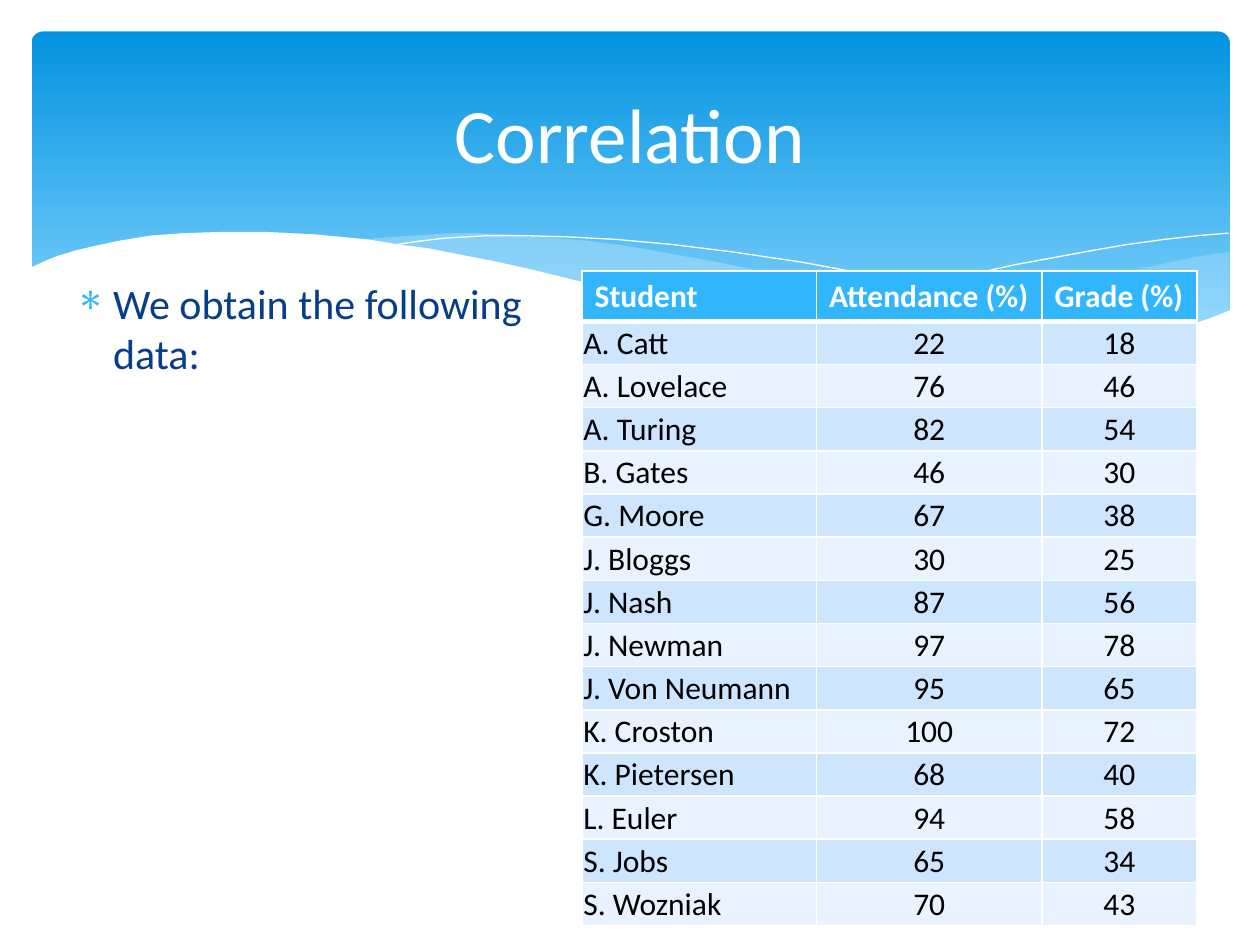
"""Builds the Correlation slide with its wave banner and table of student results."""
import pptx
import pptx.dml.color
import pptx.enum.dml
import pptx.enum.shapes
import pptx.enum.text
import pptx.oxml.ns
import pptx.util
import lxml.etree

PX = 9144
COLORS = {
    "white": "FFFFFF", "black": "000000", "navy": "073E87", "accent": "31B6FD",
    "sky_top": "0293E0", "sky_bottom": "83D3FE", "mist": "C6E7FC",
    "band_dark": "CEE5FE", "band_light": "E8F3FF",
}
ALIGN = pptx.enum.text.PP_ALIGN
ANCHOR = pptx.enum.text.MSO_ANCHOR

RIGHT_WAVE = [
    (975, 200), (948, 204), (921, 210), (891, 216), (861, 223), (805, 237), (753, 248),
    (706, 257), (661, 265), (691, 269), (719, 271), (745, 274), (769, 276), (792, 277),
    (814, 278), (835, 277), (854, 276), (872, 274), (889, 272), (905, 269), (921, 265),
    (935, 262), (949, 257), (963, 252), (976, 247), (976, 200),
]
MIDDLE_WAVE = [
    (893, 273), (866, 269), (837, 265), (807, 260), (775, 254), (741, 247), (706, 240),
    (668, 231), (629, 222), (598, 214), (569, 208), (541, 203), (514, 198), (489, 194),
    (465, 191), (442, 189), (420, 187), (399, 186), (380, 185), (361, 185), (344, 186),
    (328, 187), (313, 188), (299, 189), (286, 191), (323, 196), (362, 203), (404, 211),
    (449, 222), (491, 232), (530, 240), (566, 248), (601, 255), (634, 261), (665, 266),
    (695, 270), (722, 274), (748, 276), (773, 277), (796, 278), (828, 278), (857, 277),
    (876, 275),
]
LEFT_CREST = [
    (309, 195), (328, 192), (353, 189), (387, 187), (416, 187), (450, 188), (489, 190),
    (533, 194), (582, 200), (636, 208), (695, 219), (760, 233), (831, 251), (907, 272),
]
RIGHT_CREST = [
    (613, 257), (653, 246), (695, 235), (748, 223), (806, 210), (866, 199), (895, 194),
    (924, 190), (951, 187), (975, 185),
]
WHITE_WAVE = [
    (977, 246), (959, 253), (940, 259), (920, 265), (899, 269), (875, 273), (850, 275),
    (823, 277), (809, 277), (778, 276), (744, 274), (708, 270), (668, 265), (626, 258),
    (579, 250), (529, 239), (475, 227), (447, 220), (418, 213), (391, 207), (365, 202),
    (340, 197), (316, 194), (292, 190), (271, 188), (250, 186), (230, 185), (211, 184),
    (177, 184), (146, 185), (119, 187), (95, 191), (76, 195), (59, 199), (46, 203),
    (36, 207), (23, 213), (23, 329), (977, 329),
]
HEADINGS = ("Student", "Attendance (%)", "Grade (%)")
STUDENTS = [
    ("A. Catt", 22, 18), ("A. Lovelace", 76, 46), ("A. Turing", 82, 54),
    ("B. Gates", 46, 30), ("G. Moore", 67, 38), ("J. Bloggs", 30, 25),
    ("J. Nash", 87, 56), ("J. Newman", 97, 78), ("J. Von Neumann", 95, 65),
    ("K. Croston", 100, 72), ("K. Pietersen", 68, 40), ("L. Euler", 94, 58),
    ("S. Jobs", 65, 34), ("S. Wozniak", 70, 43),
]


def px(*lengths):
    return [round(length * PX) for length in lengths]


def rgb(name):
    return pptx.dml.color.RGBColor.from_string(COLORS[name])


def add_element(parent, tag, **attributes):
    return lxml.etree.SubElement(parent, pptx.oxml.ns.qn(tag), attributes)


def write(frame, text, size=18, color="black", bold=False, align=ALIGN.LEFT, bullet=None):
    para = frame.paragraphs[0]
    para.alignment = align
    if bullet:
        properties = para._p.get_or_add_pPr()
        indent = px(30)[0]
        properties.set("marL", str(indent))
        properties.set("indent", str(-indent))
        add_element(add_element(properties, "a:buClr"), "a:srgbClr", val=COLORS["accent"])
        add_element(properties, "a:buChar", char=bullet)
    span = para.add_run()
    span.text = text
    span.font.name = "Calibri"
    span.font.size = pptx.util.Pt(size)
    span.font.bold = bold
    span.font.color.rgb = rgb(color)


class SlideBuilder:
    """Holds the table style and the current page, and draws each kind of element."""

    border = "white"
    bands = ("band_dark", "band_light")

    def __init__(self, page):
        self.page = page

    def banner(self, left, top, width, height):
        kind = pptx.enum.shapes.MSO_SHAPE.ROUNDED_RECTANGLE
        shape = self.page.shapes.add_shape(kind, *px(left, top, width, height))
        shape.adjustments[0] = 0.034
        shape.shadow.inherit = False
        shape.line.fill.background()
        shape.fill.gradient()
        shape.fill.gradient_angle = 270
        stops = zip(shape.fill.gradient_stops, (0, 0.9), ("sky_top", "sky_bottom"))
        for stop, position, color in stops:
            stop.position = position
            stop.color.rgb = rgb(color)

    def outline(self, points, closed):
        builder = self.page.shapes.build_freeform(*points[0], scale=PX)
        builder.add_line_segments(points[1:], close=closed)
        shape = builder.convert_to_shape()
        shape.shadow.inherit = False
        return shape

    def wave(self, points, color, opacity=100):
        shape = self.outline(points, True)
        shape.line.fill.background()
        shape.fill.solid()
        shape.fill.fore_color.rgb = rgb(color)
        if opacity < 100:
            fill = shape._element.spPr.find(pptx.oxml.ns.qn("a:solidFill"))
            add_element(fill[0], "a:alpha", val=str(opacity * 1000))

    def crest(self, points):
        shape = self.outline(points, False)
        shape.fill.background()
        shape.line.color.rgb = rgb("white")
        shape.line.width = pptx.util.Pt(0)

    def text(self, left, top, width, height, words, anchor=ANCHOR.TOP, **style):
        box = self.page.shapes.add_textbox(*px(left, top, width, height))
        box.text_frame.word_wrap = True
        box.text_frame.vertical_anchor = anchor
        write(box.text_frame, words, **style)

    def cell(self, cell, words, fill, top=1, bottom=1, **style):
        properties = cell._tc.get_or_add_tcPr()
        for side, width in zip("LRTB", (1, 1, top, bottom)):
            line = add_element(properties, f"a:ln{side}", w=str(pptx.util.Pt(width)))
            add_element(add_element(line, "a:solidFill"), "a:srgbClr", val=COLORS[self.border])
        cell.fill.solid()
        cell.fill.fore_color.rgb = rgb(fill)
        write(cell.text_frame, words, **style)

    def table(self, left, top, widths, height, header_height, headings, records):
        rows = len(records) + 1
        frame = self.page.shapes.add_table(
            rows, len(widths), *px(left, top, sum(widths), height))
        table = frame.table
        table.horz_banding = False
        for column, width in zip(table.columns, px(*widths)):
            column.width = width
        for row in table.rows:
            row.height = px((height - header_height) / len(records))[0]
        table.rows[0].height = px(header_height)[0]
        for column, heading in enumerate(headings):
            self.cell(table.cell(0, column), heading, "accent", bottom=3,
                      color="white", bold=True)
        for row, record in enumerate(records, 1):
            for column, value in enumerate(record):
                cell = table.cell(row, column)
                cell.margin_left, cell.margin_right, cell.margin_top = px(1, 1, 1)
                cell.margin_bottom = 0
                cell.vertical_anchor = ANCHOR.MIDDLE
                self.cell(cell, str(value), self.bands[(row - 1) % 2],
                          top=3 if row == 1 else 1,
                          align=ALIGN.CENTER if column else ALIGN.LEFT)


def main():
    deck = pptx.Presentation()
    deck.slide_width, deck.slide_height = px(1000, 750)
    builder = SlideBuilder(deck.slides.add_slide(deck.slide_layouts[6]))
    builder.banner(25, 25, 951, 270)
    builder.wave(RIGHT_WAVE, "mist", 29)
    builder.wave(MIDDLE_WAVE, "mist", 40)
    builder.crest(LEFT_CREST)
    builder.crest(RIGHT_CREST)
    builder.wave(WHITE_WAVE, "white")
    builder.text(50, 37, 900, 137, "Correlation", anchor=ANCHOR.MIDDLE,
                 size=44, color="white", align=ALIGN.CENTER)
    builder.text(50, 215, 412, 455, "We obtain the following data:",
                 size=24, color="navy", bullet="∗")
    builder.table(462, 215, (186, 179, 123), 520, 40, HEADINGS, STUDENTS)
    deck.save("out.pptx")


if __name__ == "__main__":
    main()
